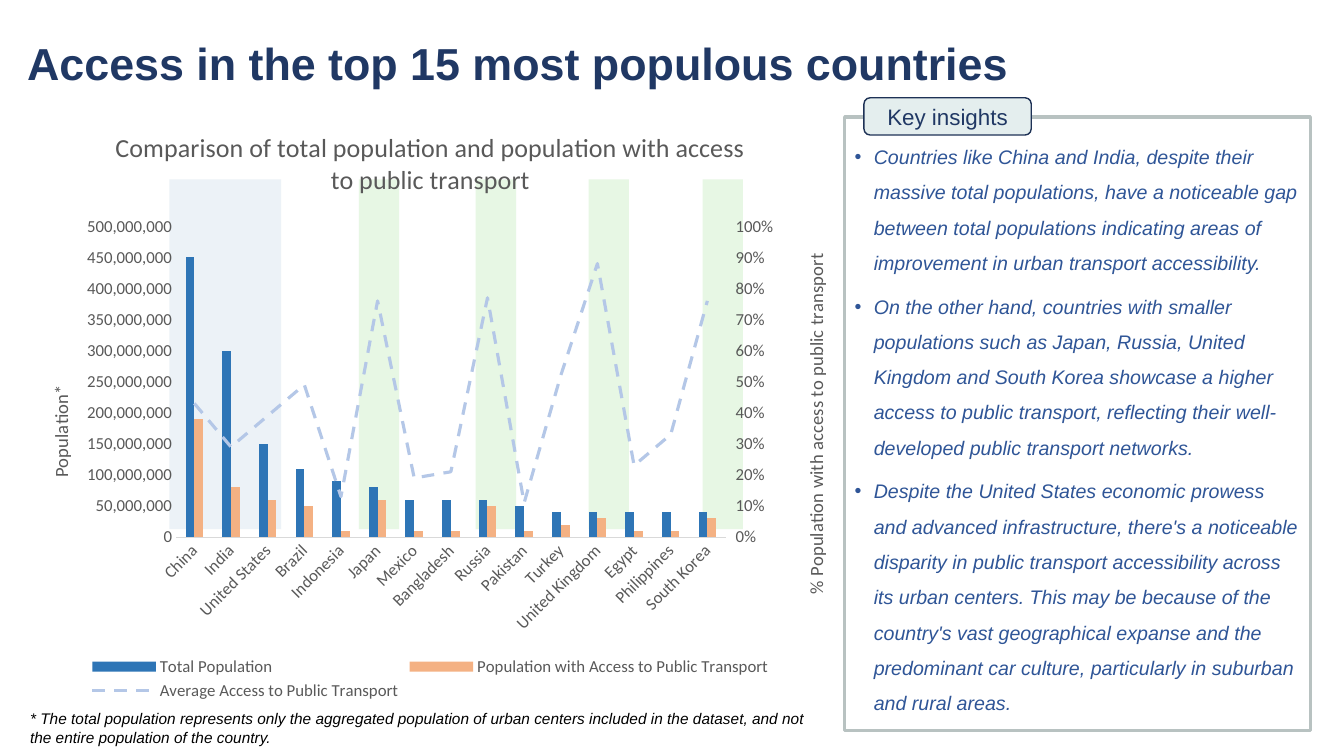
from lxml import etree
from pptx import Presentation
from pptx.chart.axis import ValueAxis
from pptx.chart.data import CategoryChartData
from pptx.dml.color import RGBColor
from pptx.enum.chart import XL_CHART_TYPE as ChartType, XL_LEGEND_POSITION as LegendSpot
from pptx.enum.chart import XL_MARKER_STYLE as Marker, XL_TICK_MARK as Tick
from pptx.enum.dml import MSO_LINE_DASH_STYLE as Dash
from pptx.enum.shapes import MSO_SHAPE as Preset
from pptx.enum.text import MSO_ANCHOR as Anchor, PP_ALIGN as Align
from pptx.oxml import parse_xml
from pptx.oxml.ns import nsdecls, qn
from pptx.util import Inches, Pt

COLORS = {
    "navy": "203864", "outline": "1E3256", "insight": "2F5597", "frame": "B8C2C1",
    "tag": "E4EEEE", "large": "ECF2F7", "served": "E7F7E4", "black": "000000",
    "chart text": "595959", "axis": "D9D9D9",
    "total": "2E75B6", "access": "F4B183", "share": "B4C7E7",
}
MILLION = 10 ** 6
COUNTRIES = [
    ("China", 450, 190, 0.43), ("India", 300, 80, 0.29),
    ("United States", 150, 60, 0.39), ("Brazil", 110, 50, 0.49),
    ("Indonesia", 90, 10, 0.13), ("Japan", 80, 60, 0.76),
    ("Mexico", 60, 10, 0.19), ("Bangladesh", 60, 10, 0.21),
    ("Russia", 60, 50, 0.77), ("Pakistan", 50, 10, 0.11),
    ("Turkey", 40, 20, 0.52), ("United Kingdom", 40, 30, 0.88),
    ("Egypt", 40, 10, 0.23), ("Philippines", 40, 10, 0.33),
    ("South Korea", 40, 30, 0.76),
]
INSIGHTS = [
    "Countries like China and India, despite their massive total populations, have a noticeable gap "
    "between total populations indicating areas of improvement in urban transport accessibility.",
    "On the other hand, countries with smaller populations such as Japan, Russia, United Kingdom and "
    "South Korea showcase a higher access to public transport, reflecting their well-developed public "
    "transport networks.",
    "Despite the United States economic prowess and advanced infrastructure, there's a noticeable "
    "disparity in public transport accessibility across its urban centers. This may be because of the "
    "country's vast geographical expanse and the predominant car culture, particularly in suburban and "
    "rural areas.",
]
FOOTNOTE = ("* The total population represents only the aggregated population of urban centers included "
            "in the dataset, and not the entire population of the country.")
BANDS = [(12.6, 8.33, "large"), (26.7, 3, "served"), (35.4, 3, "served"),
         (43.8, 3, "served"), (52.28, 3, "served")]
SHARE_PLOT = f"""<c:plotArea {nsdecls('c')}>
<c:lineChart><c:grouping val="standard"/><c:varyColors val="0"/>
<c:marker val="1"/><c:axId val="501"/><c:axId val="502"/></c:lineChart>
<c:valAx><c:axId val="502"/><c:scaling><c:orientation val="minMax"/></c:scaling>
<c:delete val="0"/><c:axPos val="r"/><c:numFmt formatCode="0%" sourceLinked="0"/>
<c:majorTickMark val="out"/><c:minorTickMark val="none"/><c:tickLblPos val="nextTo"/>
<c:crossAx val="501"/><c:crosses val="max"/></c:valAx>
<c:catAx><c:axId val="501"/><c:scaling><c:orientation val="minMax"/></c:scaling>
<c:delete val="1"/><c:axPos val="b"/><c:majorTickMark val="none"/><c:minorTickMark val="none"/>
<c:tickLblPos val="nextTo"/><c:crossAx val="502"/><c:crosses val="autoZero"/></c:catAx>
</c:plotArea>"""


def rgb(name):
    return RGBColor.from_string(COLORS[name])


def style_font(font, size, color, face="Arial", bold=False, italic=False):
    font.name, font.size, font.bold, font.italic = face, Pt(size), bold, italic
    font.color.rgb = rgb(color)


def write(frame, *texts, align=Align.LEFT, anchor=Anchor.TOP, spacing=None, before=0,
          bullet=False, **font):
    frame.word_wrap, frame.vertical_anchor = True, anchor
    for index, text in enumerate(texts):
        paragraph = frame.add_paragraph() if index else frame.paragraphs[0]
        paragraph.alignment, paragraph.space_before = align, Pt(before)
        if spacing:
            paragraph.line_spacing = spacing
        if bullet:
            properties = paragraph._p.get_or_add_pPr()
            properties.set("marL", str(Inches(0.19)))
            properties.set("indent", str(-Inches(0.19)))
            etree.SubElement(properties, qn("a:buFont")).set("typeface", "Arial")
            etree.SubElement(properties, qn("a:buChar")).set("char", "•")
        run = paragraph.add_run()
        run.text = text
        style_font(run.font, **font)


def manual_layout(x, y, w=None, h=None):
    sizes = "" if w is None else f'<c:w val="{w}"/><c:h val="{h}"/>'
    target = "" if w is None else '<c:layoutTarget val="inner"/>'
    return parse_xml(f'<c:layout {nsdecls("c")}><c:manualLayout>{target}<c:xMode val="edge"/>'
                     f'<c:yMode val="edge"/><c:x val="{x}"/><c:y val="{y}"/>{sizes}'
                     '</c:manualLayout></c:layout>')


class Canvas:
    """Draws styled elements on one slide, placed on a grid of 100 columns by 100 rows."""

    def __init__(self, deck):
        self.slide = deck.slides.add_slide(deck.slide_layouts[6])
        self.column, self.row = deck.slide_width / 100, deck.slide_height / 100

    def place(self, left, top, width, height):
        return (round(left * self.column), round(top * self.row),
                round(width * self.column), round(height * self.row))

    def box(self, *cell, preset=Preset.RECTANGLE, fill=None, line=None, weight=1):
        shape = self.slide.shapes.add_shape(preset, *self.place(*cell))
        shape.shadow.inherit = False
        if fill:
            shape.fill.solid()
            shape.fill.fore_color.rgb = rgb(fill)
        else:
            shape.fill.background()
        if line:
            shape.line.color.rgb, shape.line.width = rgb(line), Pt(weight)
        else:
            shape.line.fill.background()
        return shape.text_frame

    def text(self, *cell):
        return self.slide.shapes.add_textbox(*self.place(*cell)).text_frame

    def value_axis(self, axis, title, top, step, number_format, spot):
        axis.minimum_scale, axis.maximum_scale, axis.major_unit = 0, top, step
        axis.has_major_gridlines = False
        axis.format.line.fill.background()
        axis.tick_labels.number_format = number_format
        axis.tick_labels.number_format_is_linked = False
        style_font(axis.tick_labels.font, 12, "chart text", "Calibri")
        write(axis.axis_title.text_frame, title, size=13.3, color="chart text", face="Calibri")
        body = axis.axis_title.text_frame._txBody.find(qn("a:bodyPr"))
        body.set("rot", "-5400000")
        body.set("vert", "horz")
        heading = axis.axis_title._element
        for old in heading.findall(qn("c:layout")):
            heading.remove(old)
        heading.find(qn("c:tx")).addnext(manual_layout(*spot))

    def population_chart(self, *cell):
        names, totals, served, shares = zip(*COUNTRIES)
        data = CategoryChartData()
        data.categories = names
        data.add_series("Total Population", [n * MILLION for n in totals], "#,##0")
        data.add_series("Population with Access to Public Transport",
                        [n * MILLION for n in served], "#,##0")
        data.add_series("Average Access to Public Transport", shares, "0%")
        chart = self.slide.shapes.add_chart(
            ChartType.COLUMN_CLUSTERED, *self.place(*cell), data).chart
        style_font(chart.font, 10, "black", "Calibri")
        chart.element.find(qn("c:txPr")).addprevious(parse_xml(
            f'<c:spPr {nsdecls("c", "a")}><a:noFill/><a:ln><a:noFill/></a:ln></c:spPr>'))
        chart.has_title = True
        write(chart.chart_title.text_frame,
              "Comparison of total population and population with access to public transport",
              align=Align.CENTER, size=18.6, color="chart text", face="Calibri")
        chart.chart_title.include_in_layout = False
        chart.has_legend = True
        chart.legend.position, chart.legend.include_in_layout = LegendSpot.BOTTOM, False
        style_font(chart.legend.font, 12, "chart text", "Calibri")

        columns = chart.plots[0]
        columns.gap_width, columns.overlap, columns.vary_by_categories = 219, 0, False
        for series, color in zip(columns.series, ("total", "access")):
            series.format.fill.solid()
            series.format.fill.fore_color.rgb = rgb(color)
        countries = chart.category_axis
        countries.major_tick_mark = Tick.NONE
        countries.format.line.color.rgb = rgb("axis")
        countries.format.line.width = Pt(0.75)
        style_font(countries.tick_labels.font, 12, "chart text", "Calibri")
        countries._element.find(qn("c:txPr")).find(qn("a:bodyPr")).set("rot", "-2700000")
        chart.value_axis.major_tick_mark = Tick.NONE
        self.value_axis(chart.value_axis, "Population*", 500 * MILLION, 50 * MILLION,
                        "#,##0", (0.03, 0.46))
        self.share_line(chart)

    def share_line(self, chart):
        area = chart.element.find(".//" + qn("c:plotArea"))
        for old in area.findall(qn("c:layout")):
            area.remove(old)
        area.insert(0, manual_layout(0.19, 0.2, 0.67, 0.52))
        bars = area.find(qn("c:barChart"))
        line_plot, share_axis, hidden_axis = parse_xml(SHARE_PLOT)
        moved = bars.findall(qn("c:ser"))[-1]
        for flag in moved.findall(qn("c:invertIfNegative")):
            moved.remove(flag)
        line_plot.find(qn("c:varyColors")).addnext(moved)
        bars.addnext(line_plot)
        area.findall(qn("c:valAx"))[-1].addnext(share_axis)
        share_axis.addnext(hidden_axis)
        share = chart.plots[1].series[0]
        share.smooth, share.marker.style = False, Marker.NONE
        share.format.line.color.rgb, share.format.line.width = rgb("share"), Pt(2.25)
        share.format.line.dash_style = Dash.DASH
        self.value_axis(ValueAxis(share_axis), "% Population with access to public transport",
                        1, 0.1, "0%", (0.95, 0.24))


def main():
    deck = Presentation()
    deck.slide_width, deck.slide_height = Inches(13.33), Inches(7.5)
    canvas = Canvas(deck)
    for left, width, color in BANDS:
        canvas.box(left, 23.73, width, 46.27, fill=color)
    write(canvas.box(62.85, 15.47, 34.65, 81.2, line="frame", weight=2.25), *INSIGHTS,
          anchor=Anchor.MIDDLE, spacing=1.5, before=6, bullet=True,
          size=14, color="insight", italic=True)
    write(canvas.box(64.28, 12.93, 12.45, 4.93, preset=Preset.FLOWCHART_ALTERNATE_PROCESS,
                     fill="tag", line="outline"),
          "Key insights", align=Align.CENTER, anchor=Anchor.MIDDLE, size=16, color="navy")
    write(canvas.text(1.28, 0, 97.43, 17.33), "Access in the top 15 most populous countries",
          anchor=Anchor.MIDDLE, spacing=0.9, size=32, color="navy", bold=True)
    write(canvas.text(1.5, 93.2, 60.15, 6.27), FOOTNOTE, size=11, color="black", italic=True)
    canvas.population_chart(1.5, 14.13, 61.05, 79.07)
    deck.save("out.pptx")


if __name__ == "__main__":
    main()
